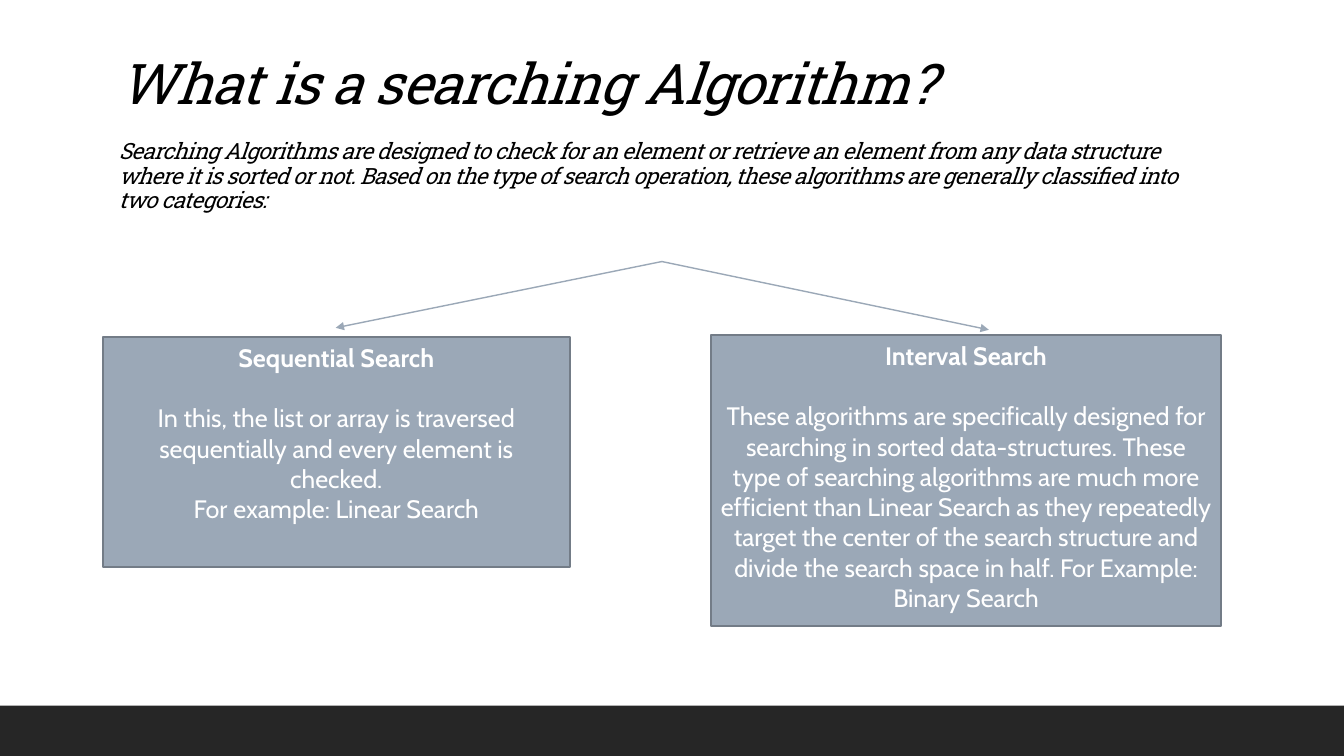
from lxml import etree
from pptx import Presentation
from pptx import util as u
from pptx.dml.color import RGBColor
from pptx.enum import shapes, text
from pptx.oxml.ns import qn

BLACK = RGBColor(0x00, 0x00, 0x00)
WHITE = RGBColor(0xFF, 0xFF, 0xFF)
CHARCOAL = RGBColor(0x26, 0x26, 0x26)
STEEL = RGBColor(0x9B, 0xA8, 0xB7)
STEEL_DARK = RGBColor(0x73, 0x7C, 0x87)

HEADING_FONT = "Roboto Slab"
BODY_FONT = "Cabin"
SLIDE_WIDTH, SLIDE_HEIGHT = 33.87, 19.05
FOOTER_HEIGHT = 1.27
ARROW_START = (16.68, 6.59)

TITLE = "What is a searching Algorithm?"
INTRODUCTION = (
    "Searching Algorithms are designed to check for an element or retrieve an element "
    "from any data structure where it is sorted or not. Based on the type of search "
    "operation, these algorithms are generally classified into two categories:"
)
# Each category: box in cm, arrow tip in cm, heading, body paragraphs
CATEGORIES = [
    ((2.59, 8.5, 11.77, 5.79), (8.46, 8.26), "Sequential Search", [
        "In this, the list or array is traversed sequentially and every element is checked.",
        "For example: Linear Search",
    ]),
    ((17.91, 8.45, 12.87, 7.33), (24.92, 8.31), "Interval Search", [
        "These algorithms are specifically designed for searching in sorted data-structures. "
        "These type of searching algorithms are much more efficient than Linear Search as "
        "they repeatedly target the center of the search structure and divide the search "
        "space in half. For Example: Binary Search",
    ]),
]


def add_run(paragraph, content, font_name, size, color, bold=False, italic=False):
    run = paragraph.add_run()
    run.text = content
    font = run.font
    font.name, font.size = font_name, u.Pt(size)
    font.bold, font.italic = bold, italic
    font.color.rgb = color
    return run


def next_paragraph(frame, index):
    return frame.add_paragraph() if index else frame.paragraphs[0]


def add_rectangle(slide, box, fill):
    rectangle = slide.shapes.add_shape(
        shapes.MSO_SHAPE.RECTANGLE, *(u.Cm(length) for length in box))
    rectangle.shadow.inherit = False
    rectangle.fill.solid()
    rectangle.fill.fore_color.rgb = fill
    return rectangle


def add_footer_bar(slide, box):
    add_rectangle(slide, box, CHARCOAL).line.fill.background()


def fill_title(slide, box):
    """Put the headline and the introduction into the title placeholder."""
    title = slide.shapes.title
    title.left, title.top, title.width, title.height = (u.Cm(length) for length in box)
    frame = title.text_frame
    frame.word_wrap = True
    frame.auto_size = text.MSO_AUTO_SIZE.NONE
    frame.vertical_anchor = text.MSO_ANCHOR.MIDDLE
    lines = [(TITLE, 40, 0), (INTRODUCTION, 16, 17)]
    for index, (content, size, gap) in enumerate(lines):
        paragraph = next_paragraph(frame, index)
        paragraph.alignment = text.PP_ALIGN.LEFT
        paragraph.line_spacing = 0.9
        paragraph.space_before = u.Pt(gap)
        run = add_run(paragraph, content, HEADING_FONT, size, BLACK, italic=True)
        run.font._element.set("spc", "-50")


def add_arrow(slide, start, tip):
    points = (u.Cm(length) for length in (*start, *tip))
    arrow = slide.shapes.add_connector(shapes.MSO_CONNECTOR.STRAIGHT, *points)
    arrow.line.color.rgb = STEEL
    arrow.line.width = u.Pt(1)
    etree.SubElement(arrow.line._get_or_add_ln(), qn("a:tailEnd"), type="triangle")
    etree.SubElement(arrow._element.spPr, qn("a:effectLst"))


def add_category(slide, box, heading, body):
    panel = add_rectangle(slide, box, STEEL)
    panel.line.color.rgb = STEEL_DARK
    panel.line.width = u.Pt(1.25)
    frame = panel.text_frame
    frame.word_wrap = True
    frame.vertical_anchor = text.MSO_ANCHOR.TOP
    for index, content in enumerate([heading, *body]):
        paragraph = next_paragraph(frame, index)
        paragraph.alignment = text.PP_ALIGN.CENTER
        paragraph.space_before = u.Pt(21.6 if index == 1 else 0)
        add_run(paragraph, content, BODY_FONT, 18, WHITE, bold=index == 0)


def main():
    presentation = Presentation()
    presentation.slide_width = u.Cm(SLIDE_WIDTH)
    presentation.slide_height = u.Cm(SLIDE_HEIGHT)
    slide = presentation.slides.add_slide(presentation.slide_layouts[5])

    add_footer_bar(slide, (0, SLIDE_HEIGHT - FOOTER_HEIGHT, SLIDE_WIDTH, FOOTER_HEIGHT))
    fill_title(slide, (2.74, 0.51, 27.91, 5.77))
    for box, tip, heading, body in CATEGORIES:
        add_arrow(slide, ARROW_START, tip)
        add_category(slide, box, heading, body)
    presentation.save("out.pptx")


if __name__ == "__main__":
    main()
